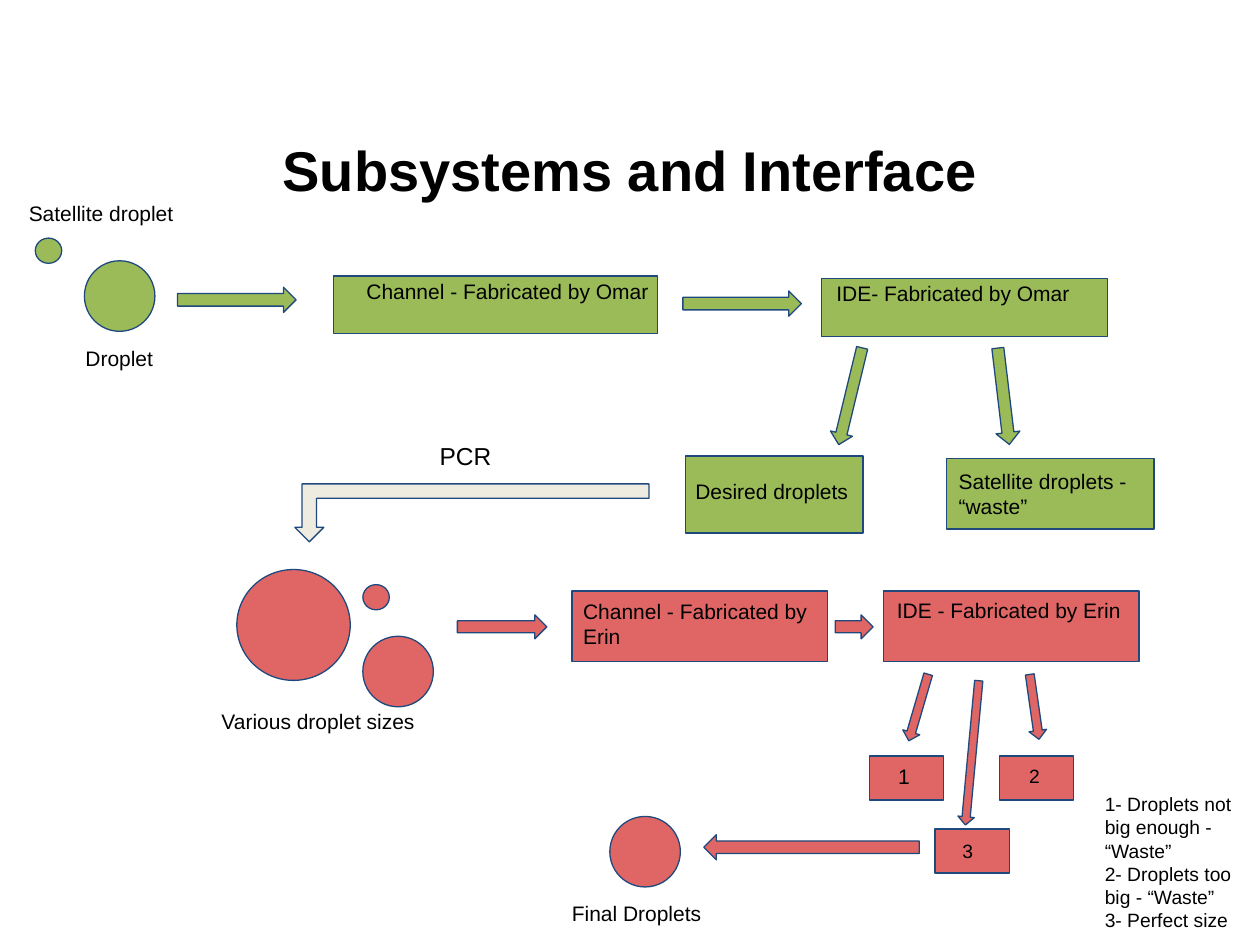
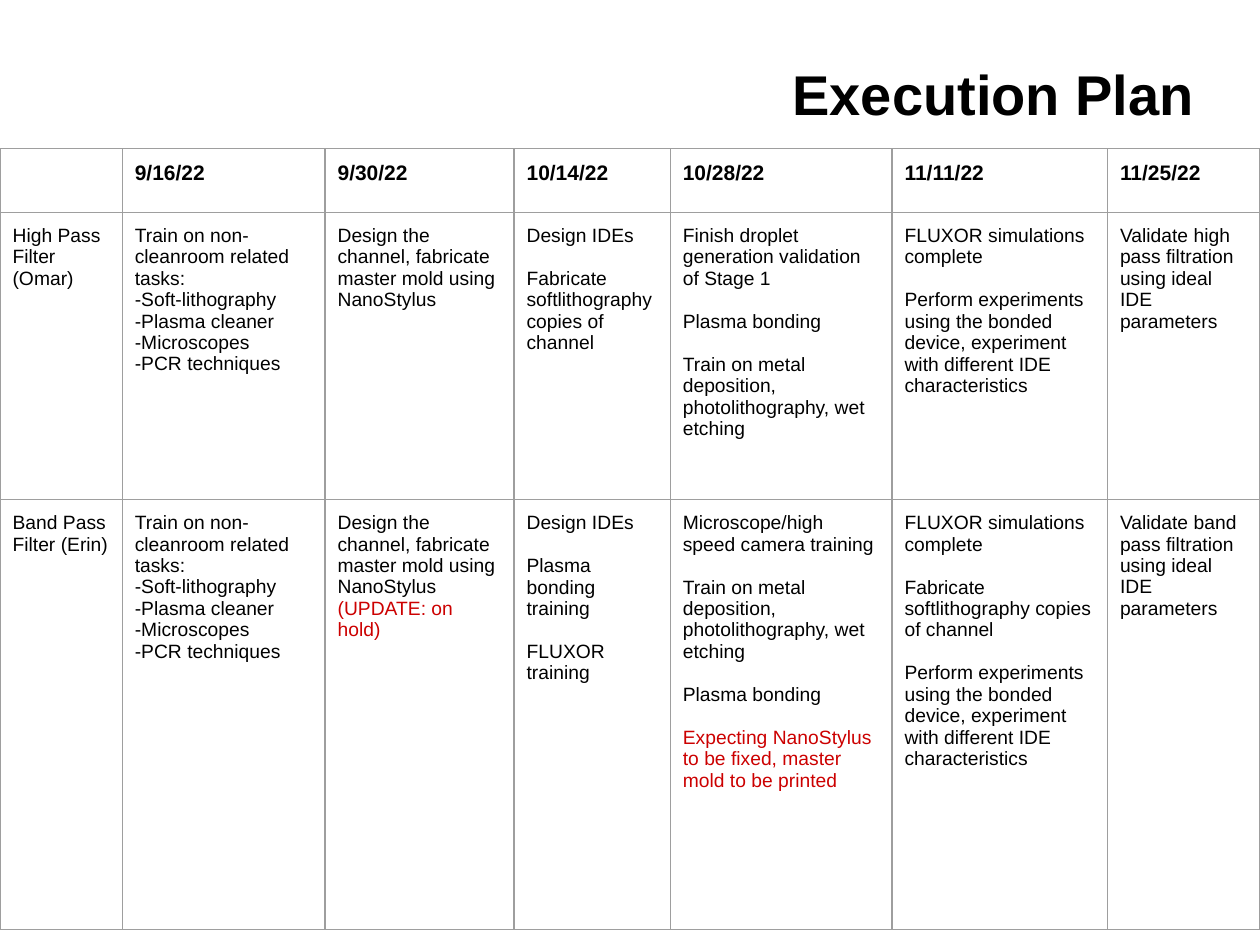
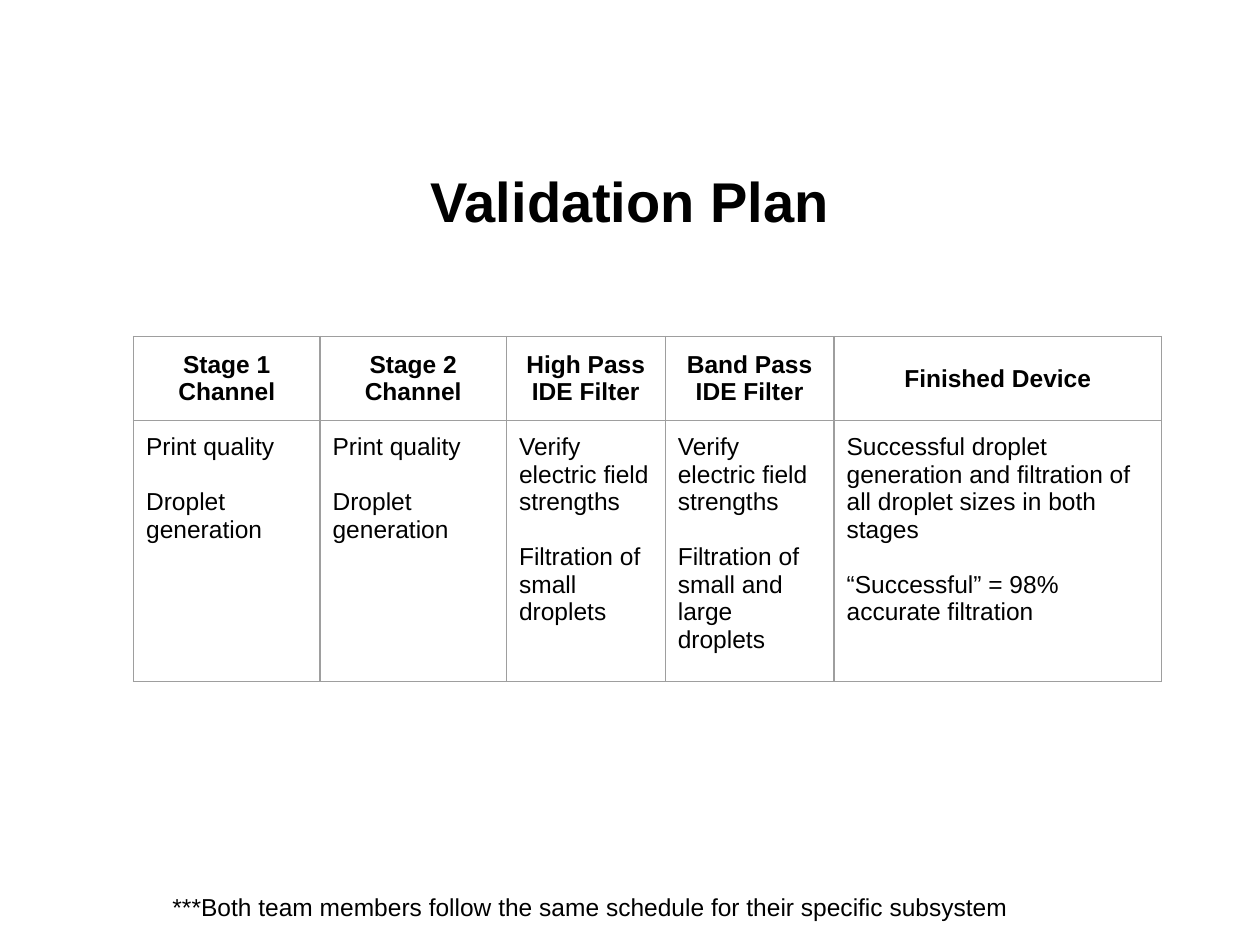
from dataclasses import dataclass

from lxml.etree import SubElement
from pptx import Presentation
from pptx.dml.color import RGBColor
from pptx.enum.shapes import MSO_SHAPE
from pptx.enum.text import MSO_ANCHOR, MSO_AUTO_SIZE, PP_ALIGN
from pptx.oxml.ns import qn
from pptx.util import Inches, Pt


@dataclass(frozen=True)
class Theme:
    font: str = "Arial"
    text: str = "000000"
    update: str = "CC0000"
    outline: str = "1F497D"
    border: str = "9E9E9E"
    high_pass: str = "9BBB59"
    band_pass: str = "E06666"
    transfer: str = "EEECE1"
    title_size: float = 32
    large: float = 14
    body: float = 12
    small: float = 11
    line_width: float = 0.75
    inset: float = 0.1
    gap_ratio: float = 1.12


THEME = Theme()
TITLE_ONLY = 5

TRAINING = ("Train on non-cleanroom related tasks:\n-Soft-lithography\n"
            "-Plasma cleaner\n-Microscopes\n-PCR techniques")
MOLD = "Design the channel, fabricate master mold using NanoStylus"
COPIES = "Fabricate softlithography copies of channel"
DEPOSITION = "Train on metal deposition, photolithography, wet etching"
SIMULATIONS = "FLUXOR simulations complete"
EXPERIMENTS = ("Perform experiments using the bonded device, "
               "experiment with different IDE characteristics")
VALIDATION = "Validate {} pass filtration using ideal IDE parameters"
ON_HOLD = "(UPDATE: on hold)"
EXPECTED_FIX = "Expecting NanoStylus to be fixed, master mold to be printed"
FIELDS = "Verify electric field strengths\n\nFiltration of "
PRINTING = "Print quality\n\nDroplet generation"

EXECUTION = [
    ["", "9/16/22", "9/30/22", "10/14/22", "10/28/22", "11/11/22", "11/25/22"],
    ["High Pass Filter (Omar)", TRAINING, MOLD, f"Design IDEs\n\n{COPIES}",
     "Finish droplet generation validation of Stage 1\n\nPlasma bonding\n\n"
     + DEPOSITION,
     f"{SIMULATIONS}\n\n{EXPERIMENTS}", VALIDATION.format("high")],
    ["Band Pass Filter (Erin)", TRAINING, f"{MOLD} {ON_HOLD}",
     "Design IDEs\n\nPlasma bonding training\n\nFLUXOR training",
     f"Microscope/high speed camera training\n\n{DEPOSITION}\n\n"
     f"Plasma bonding\n\n{EXPECTED_FIX}",
     f"{SIMULATIONS}\n\n{COPIES}\n\n{EXPERIMENTS}", VALIDATION.format("band")],
]
CRITERIA = [
    ["Stage 1 Channel", "Stage 2 Channel", "High Pass IDE Filter",
     "Band Pass IDE Filter", "Finished Device"],
    [PRINTING, PRINTING, FIELDS + "small droplets",
     FIELDS + "small and large droplets",
     "Successful droplet generation and filtration of all droplet sizes in "
     "both stages\n\n“Successful” = 98% accurate filtration"],
]


def write(frame, text, size=THEME.body, bold=False, align=PP_ALIGN.LEFT,
          highlights=()):
    """Fill a frame; a blank line in text becomes space before a paragraph."""
    paragraph = frame.paragraphs[0]
    for block_index, block in enumerate(text.split("\n\n")):
        for line_index, line in enumerate(block.split("\n")):
            if block_index or line_index:
                paragraph = frame.add_paragraph()
            if block_index and not line_index:
                paragraph.space_before = Pt(size * THEME.gap_ratio)
            paragraph.alignment = align
            phrase = next((h for h in highlights if h in line), "")
            plain = line.removesuffix(phrase)
            for words, color in ((plain, THEME.text), (phrase, THEME.update)):
                if words:
                    run = paragraph.add_run()
                    run.text = words
                    run.font.name = THEME.font
                    run.font.size = Pt(size)
                    run.font.bold = bold
                    run.font.color.rgb = RGBColor.from_string(color)


def set_insets(target):
    target.margin_left = target.margin_right = Inches(THEME.inset)
    target.margin_top = target.margin_bottom = Inches(THEME.inset)


def titled_slide(deck, title, left, top, align=PP_ALIGN.CENTER):
    slide = deck.slides.add_slide(deck.slide_layouts[TITLE_ONLY])
    heading = slide.shapes.title
    heading.left, heading.top = Inches(left), Inches(top)
    heading.width, heading.height = Inches(9), Inches(0.88)
    frame = heading.text_frame
    frame.auto_size = MSO_AUTO_SIZE.NONE
    frame.vertical_anchor = MSO_ANCHOR.MIDDLE
    write(frame, title, size=THEME.title_size, bold=True, align=align)
    return slide


@dataclass
class Region:
    """Part of a slide whose contents are placed from its left top corner."""
    slide: object
    left: float
    top: float
    color: str = THEME.high_pass

    def box(self, x, y, width, height):
        return [Inches(v) for v in (self.left + x, self.top + y, width, height)]

    def draw(self, kind, x, y, width, height, turn=0):
        part = self.slide.shapes.add_shape(kind, *self.box(x, y, width, height))
        part.rotation = turn
        part.shadow.inherit = False
        part.fill.solid()
        part.fill.fore_color.rgb = RGBColor.from_string(self.color)
        part.line.color.rgb = RGBColor.from_string(THEME.outline)
        part.line.width = Pt(THEME.line_width)

    def label(self, text, x, y, width, height=0.4, **style):
        area = self.slide.shapes.add_textbox(*self.box(x, y, width, height))
        area.text_frame.word_wrap = True
        set_insets(area.text_frame)
        write(area.text_frame, text, **style)

    def droplets(self, *places):
        for place in places:
            self.draw(MSO_SHAPE.OVAL, *place)

    def flows(self, *places):
        for place in places:
            self.draw(MSO_SHAPE.RIGHT_ARROW, *place)

    def branches(self, *places):
        for place in places:
            self.draw(MSO_SHAPE.DOWN_ARROW, *place)

    def step(self, text, place, label_place, **style):
        self.draw(MSO_SHAPE.RECTANGLE, *place)
        self.label(text, *label_place, **style)


def high_pass_stage(slide, left, top):
    stage = Region(slide, left, top, THEME.high_pass)
    stage.droplets((0.54, 0.58, 0.56, 0.56), (0.15, 0.4, 0.21, 0.2))
    stage.label("Satellite droplet", 0, 0, 1.65)
    stage.label("Droplet", 0.45, 1.15, 1.37)
    stage.flows((1.28, 0.79, 0.94, 0.2), (5.29, 0.82, 0.94, 0.2))
    stage.step("Channel - Fabricated by Omar",
               (2.52, 0.7, 2.57, 0.46), (2.68, 0.62, 2.44, 0.61))
    stage.step("IDE- Fabricated by Omar",
               (6.39, 0.72, 2.27, 0.46), (6.41, 0.64, 2.13))
    stage.branches((6.53, 1.26, 0.18, 0.79, 13.6),
                   (7.74, 1.27, 0.19, 0.77, 353.2))
    stage.step("Desired droplets",
               (5.31, 2.13, 1.41, 0.61), (5.29, 2.21, 1.69))
    stage.step("Satellite droplets - “waste”",
               (7.38, 2.15, 1.65, 0.56), (7.38, 2.13, 1.88, 0.61))


def pcr_transfer(slide, left, top):
    transfer = Region(slide, left, top, THEME.transfer)
    transfer.draw(MSO_SHAPE.BENT_UP_ARROW, 0, 0.44, 2.81, 0.46, turn=180)
    transfer.label("PCR", 1.05, 0, 0.71, 0.44, size=THEME.large)


def band_pass_stage(slide, left, top):
    stage = Region(slide, left, top, THEME.band_pass)
    stage.droplets((0.22, 0, 0.9, 0.88), (1.22, 0.12, 0.21, 0.2),
                   (1.22, 0.53, 0.56, 0.56), (3.18, 1.96, 0.56, 0.56))
    stage.label("Various droplet sizes", 0, 1, 2.03)
    stage.flows((1.97, 0.36, 0.71, 0.19), (4.97, 0.36, 0.3, 0.19))
    stage.step("Channel - Fabricated by Erin",
               (2.88, 0.17, 2.03, 0.56), (2.87, 0.13, 2.03, 0.61))
    stage.step("IDE - Fabricated by Erin",
               (5.35, 0.17, 2.03, 0.56), (5.36, 0.12, 2.27))
    stage.branches((5.56, 0.82, 0.14, 0.55, 16.3),
                   (6.48, 0.83, 0.14, 0.52, 351.9),
                   (5.99, 0.88, 0.13, 1.15, 5.3),
                   (4.68, 1.35, 0.2, 1.71, 90))
    stage.step("1", (5.24, 1.48, 0.59, 0.35), (5.37, 1.44, 0.33))
    stage.step("2", (6.27, 1.48, 0.59, 0.35), (6.41, 1.45, 0.46),
               size=THEME.small)
    stage.step("3", (5.76, 2.06, 0.59, 0.35), (5.88, 2.05, 0.46),
               size=THEME.small)
    stage.label("Final Droplets", 2.78, 2.53, 1.37)
    stage.label("1- Droplets not big enough - “Waste”\n"
                "2- Droplets too big - “Waste”\n3- Perfect size",
                7.01, 1.67, 1.37, 1.31, size=THEME.small)


def outline_cell(cell):
    properties = cell._tc.get_or_add_tcPr()
    for edge in ("a:lnL", "a:lnR", "a:lnT", "a:lnB"):
        line = SubElement(properties, qn(edge), w=str(Pt(THEME.line_width)))
        fill = SubElement(line, qn("a:solidFill"))
        SubElement(fill, qn("a:srgbClr"), val=THEME.border)


def plan_table(slide, left, top, rows, widths, heights, header, body,
               highlights=()):
    """Add a ruled table; header and body hold the text format of each part."""
    table = slide.shapes.add_table(
        len(rows), len(widths), Inches(left), Inches(top),
        Inches(sum(widths)), Inches(sum(heights))).table
    table.first_row = table.horz_banding = False
    for column, width in zip(table.columns, widths):
        column.width = Inches(width)
    for row_index, (texts, height) in enumerate(zip(rows, heights)):
        table.rows[row_index].height = Inches(height)
        style = body if row_index else header
        for column_index, text in enumerate(texts):
            cell = table.cell(row_index, column_index)
            set_insets(cell)
            outline_cell(cell)
            cell.fill.background()
            if style.get("align") == PP_ALIGN.CENTER:
                cell.vertical_anchor = MSO_ANCHOR.MIDDLE
            write(cell.text_frame, text, highlights=highlights, **style)


def subsystems_slide(deck):
    slide = titled_slide(deck, "Subsystems and Interface", 0.5, 0.9)
    high_pass_stage(slide, 0.13, 1.49)
    pcr_transfer(slide, 2.34, 3.4)
    band_pass_stage(slide, 1.66, 4.52)


def execution_slide(deck):
    slide = titled_slide(deck, "Execution Plan", 0.58, 0.3, PP_ALIGN.RIGHT)
    plan_table(slide, 0, 1.18, EXECUTION,
               widths=[0.97, 1.61, 1.5, 1.24, 1.76, 1.71, 1.21],
               heights=[0.48, 2.28, 3.41],
               header={"size": THEME.body, "bold": True},
               body={"size": THEME.small},
               highlights=(ON_HOLD, EXPECTED_FIX))


def validation_slide(deck):
    slide = titled_slide(deck, "Validation Plan", 0.5, 1.15)
    plan_table(slide, 1.06, 2.67, CRITERIA,
               widths=[1.48, 1.48, 1.26, 1.34, 2.6], heights=[0.67, 2.07],
               header={"size": THEME.large, "bold": True,
                       "align": PP_ALIGN.CENTER},
               body={"size": THEME.large})
    Region(slide, 1.27, 6.98).label(
        "***Both team members follow the same schedule for their specific "
        "subsystem", 0, 0, 7.95, 0.44, size=THEME.large)


def main():
    deck = Presentation()
    deck.slide_width, deck.slide_height = Inches(10), Inches(7.5)
    subsystems_slide(deck)
    execution_slide(deck)
    validation_slide(deck)
    deck.save("out.pptx")


if __name__ == "__main__":
    main()
